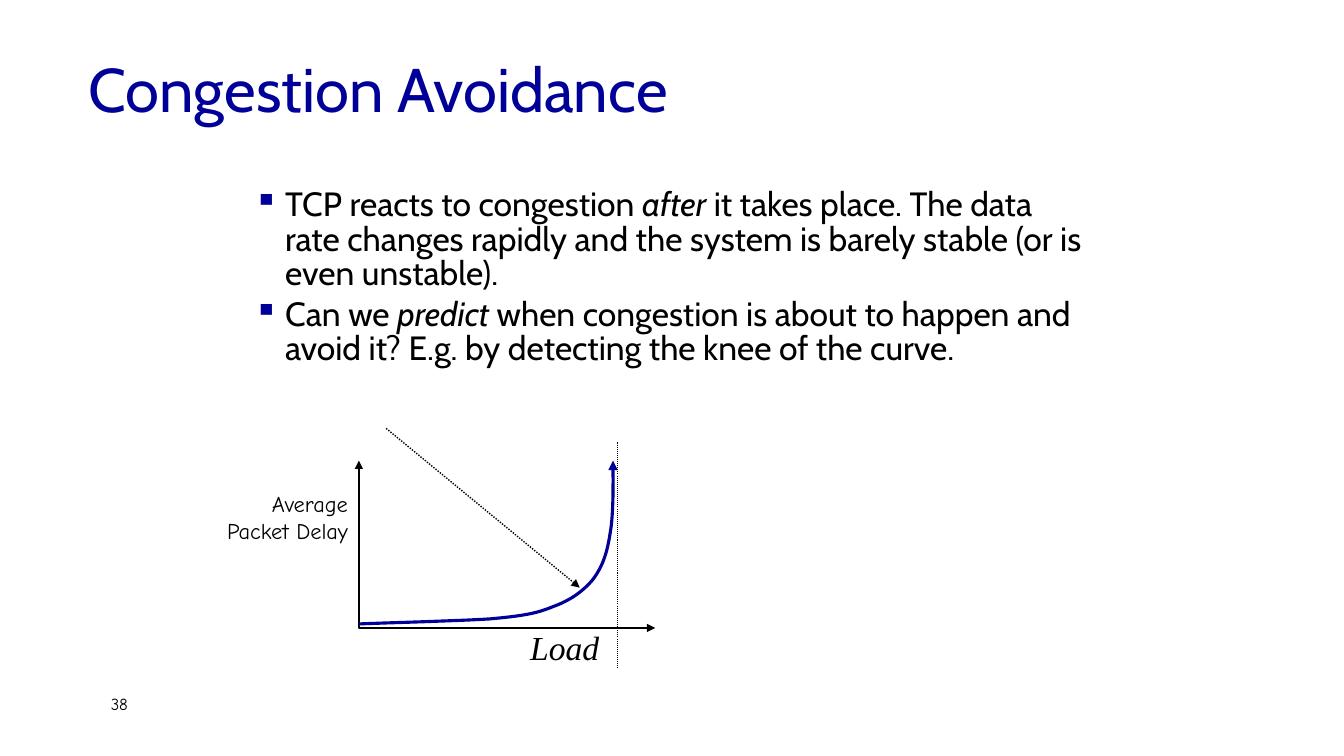
from lxml.etree import SubElement
from pptx import Presentation
from pptx.dml.color import RGBColor
from pptx.enum.dml import MSO_LINE_DASH_STYLE as Dash
from pptx.enum.shapes import MSO_CONNECTOR_TYPE as Connector
from pptx.enum.text import MSO_ANCHOR as Anchor, MSO_AUTO_SIZE as AutoSize, PP_ALIGN as Align
from pptx.oxml.ns import qn
from pptx.util import Inches, Pt

BLACK, NAVY = "000000", "000099"


def color(value):
    return RGBColor.from_string(value)


def set_all(target, values):
    for name, value in values.items():
        setattr(target, name, value)


def add_text(slide, box, paragraphs, font, tint=BLACK, frame_format=None, paragraph_format=None):
    frame = slide.shapes.add_textbox(*map(Inches, box)).text_frame
    set_all(frame, {"word_wrap": True, **(frame_format or {})})
    for index, runs in enumerate(paragraphs):
        paragraph = frame.paragraphs[0] if index == 0 else frame.add_paragraph()
        set_all(paragraph, paragraph_format or {})
        for wording, italic in runs:
            run = paragraph.add_run()
            run.text = wording
            set_all(run.font, {"italic": italic, **font})
            run.font.color.rgb = color(tint)
    return frame


def style_line(shape, tint, width, dash=None, arrows=()):
    shape.line.color.rgb = color(tint)
    set_all(shape.line, {"width": Pt(width), "dash_style": dash})
    for end in arrows:
        SubElement(shape.line._get_or_add_ln(), qn(f"a:{end}"), type="triangle")


def add_path(slide, points, tint, width, arrows):
    start, *others = [tuple(map(Inches, point)) for point in points]
    builder = slide.shapes.build_freeform(*start)
    builder.add_line_segments(others, close=False)
    path = builder.convert_to_shape()
    path.shadow.inherit = False
    path.fill.background()
    style_line(path, tint, width, arrows=arrows)


def add_dotted(slide, start, end, width, arrows=()):
    line = slide.shapes.add_connector(Connector.STRAIGHT, *map(Inches, (*start, *end)))
    style_line(line, BLACK, width, Dash.ROUND_DOT, arrows)
    SubElement(line._element.spPr, qn("a:effectLst"))


def bezier(points, steps=16):
    for step in range(1, steps + 1):
        t = step / steps
        weights = ((1 - t) ** 3, 3 * t * (1 - t) ** 2, 3 * t * t * (1 - t), t ** 3)
        yield tuple(sum(w * p[axis] for w, p in zip(weights, points)) for axis in (0, 1))


def add_title(slide, box):
    add_text(slide, box, [[("Congestion Avoidance", False)]],
             {"size": Pt(44), "name": "Cabin"}, NAVY, {"vertical_anchor": Anchor.MIDDLE})


def add_bullets(slide, box):
    points = [
        [("TCP reacts to congestion ", False), ("after", True),
         (" it takes place. The data rate changes rapidly and the system is barely stable "
          "(or is even unstable).", False)],
        [("Can we ", False), ("predict", True),
         (" when congestion is about to happen and avoid it? "
          "E.g. by detecting the knee of the curve.", False)],
    ]
    frame = add_text(slide, box, points, {"size": Pt(24), "name": "Cabin"},
                     paragraph_format={"line_spacing": 0.85, "space_before": Pt(4.8)})
    for paragraph in frame.paragraphs:
        properties = paragraph._p.get_or_add_pPr()
        properties.set("marL", str(Inches(0.31)))
        properties.set("indent", str(-Inches(0.31)))
        SubElement(SubElement(properties, qn("a:buClr")), qn("a:srgbClr"), val=NAVY)
        SubElement(properties, qn("a:buChar"), char="▪")


def add_delay_graph(slide, box):
    left, top, width, height = box
    right, bottom = left + width, top + height

    def place(x, y):
        return left + x, top + y

    add_path(slide, [(left, top), (left, bottom), (right, bottom)], BLACK, 1.5,
             ("headEnd", "tailEnd"))
    label = {"word_wrap": False, "auto_size": AutoSize.SHAPE_TO_FIT_TEXT}
    add_text(slide, (*place(-1.56, 0.24), 1.55, 0.64),
             [[("Average", False)], [("Packet Delay", False)]],
             {"size": Pt(16), "name": "Comic Neue"}, frame_format=label,
             paragraph_format={"alignment": Align.RIGHT})
    add_text(slide, (*place(1.6, 1.6), 0.89, 0.5), [[("Load", True)]],
             {"size": Pt(24), "name": "Times New Roman"}, frame_format=label)

    knots = [place(*knot) for knot in (
        (0, 1.62), (0.22, 1.61), (0.98, 1.59), (1.3, 1.57),
        (1.62, 1.54), (1.75, 1.52), (1.92, 1.45),
        (2.09, 1.39), (2.22, 1.3), (2.32, 1.18),
        (2.41, 1.06), (2.46, 0.93), (2.49, 0.73),
        (2.53, 0.53), (2.52, 0.15), (2.52, 0))]
    curve = knots[:1]
    for first in range(0, len(knots) - 1, 3):
        curve.extend(bezier(knots[first:first + 4]))
    add_path(slide, curve, NAVY, 2.25, ("tailEnd",))

    add_dotted(slide, place(2.56, -0.18), place(2.56, 2.07), 0.75)
    add_dotted(slide, place(0.27, -0.32), place(2.19, 1.26), 1, ("tailEnd",))


def add_page_number(slide, box):
    add_text(slide, box, [[("38", False)]], {"size": Pt(12), "name": "Comic Neue"})


def main():
    deck = Presentation()
    set_all(deck, {"slide_width": Inches(13.33), "slide_height": Inches(7.5)})
    slide = deck.slides.add_slide(deck.slide_layouts[6])
    add_page_number(slide, (1, 6.83, 2.78, 0.5))
    add_title(slide, (0.78, 0.25, 11.33, 1.25))
    add_bullets(slide, (2.42, 1.83, 8.5, 4.5))
    add_delay_graph(slide, (3.56, 4.57, 2.94, 1.66))
    deck.save("out.pptx")


if __name__ == "__main__":
    main()
